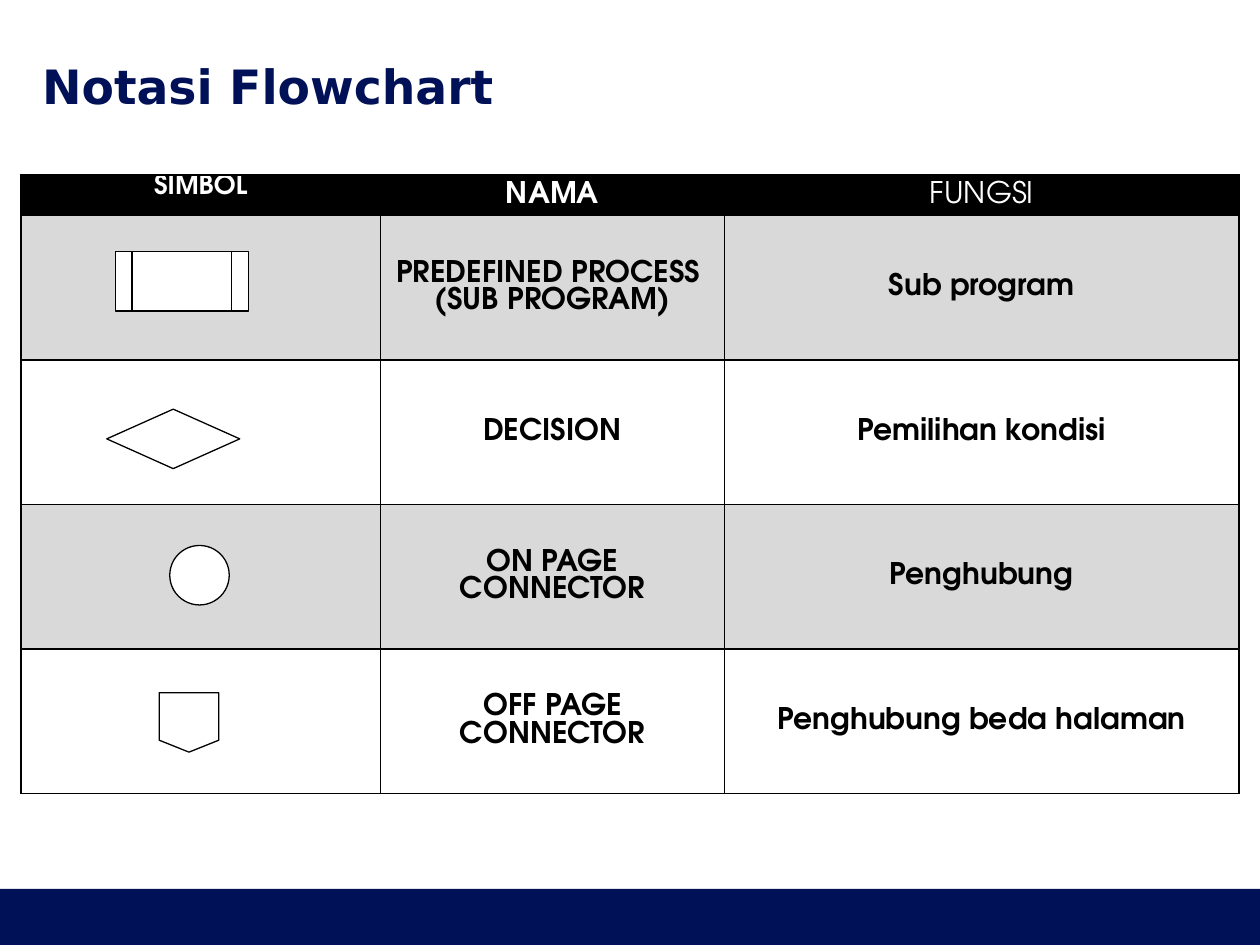
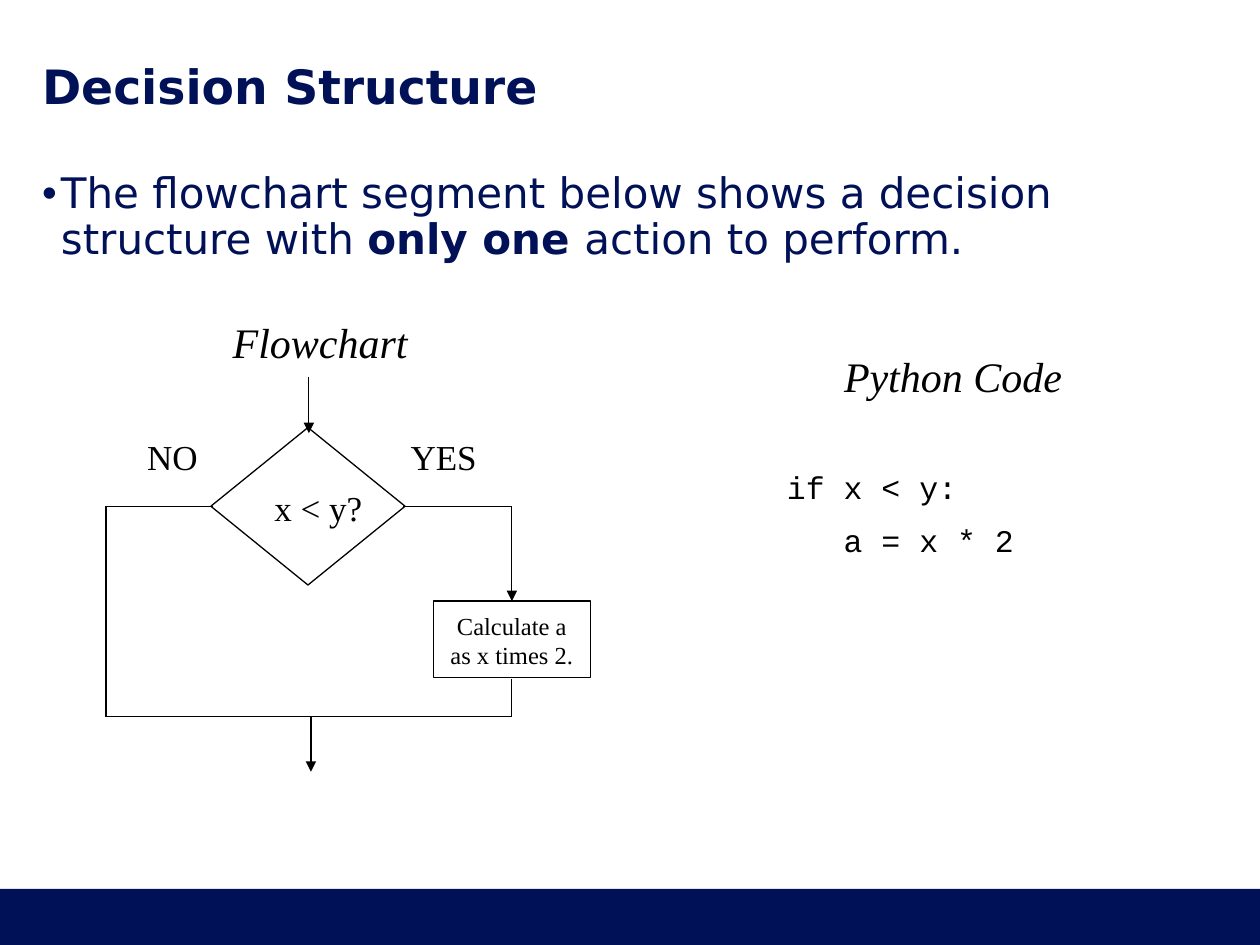
from lxml import etree
from pptx import Presentation
from pptx import util as u
from pptx.dml.color import RGBColor
from pptx.enum import shapes, text
from pptx.oxml import ns

Pt = u.Pt
KIND = shapes.MSO_SHAPE
MID = text.MSO_ANCHOR.MIDDLE
TOP = text.MSO_ANCHOR.TOP
LEFT = text.PP_ALIGN.LEFT
CENTER = text.PP_ALIGN.CENTER

NAVY = RGBColor(0x00, 0x11, 0x58)
BLACK = RGBColor(0, 0, 0)
WHITE = RGBColor(255, 255, 255)
GRAY = RGBColor(0xD9, 0xD9, 0xD9)

WIDE, HIGH = 720, 540
LINE = 0.75

# Text styles
TITLE = dict(name="DejaVu Sans", size=Pt(27), bold=True, color=NAVY)
BODY = dict(name="DejaVu Sans", size=Pt(24), color=NAVY)
HEAD = dict(name="Times New Roman", size=Pt(24), italic=True, color=BLACK)
LABEL = dict(name="Times New Roman", size=Pt(20), color=BLACK)
STEP = dict(LABEL, size=Pt(14))
CODE = dict(name="Courier New", size=Pt(18), color=BLACK)
CELL = dict(name="TeX Gyre Adventor", size=Pt(17), bold=True, color=BLACK)

HEADS = [
    ("SIMBOL", dict(CELL, size=Pt(15), color=WHITE), TOP),
    ("NAMA", dict(CELL, color=WHITE), MID),
    ("FUNGSI", dict(CELL, color=WHITE, bold=False), MID),
]
ROWS = [
    (["PREDEFINED PROCESS ", "(SUB PROGRAM)"], "Sub program"),
    (["DECISION"], "Pemilihan kondisi"),
    (["ON PAGE CONNECTOR"], "Penghubung"),
    (["OFF PAGE CONNECTOR"], "Penghubung beda halaman"),
]
# Kind, then place and size within the table box
SIGNS = [
    (KIND.FLOWCHART_PREDEFINED_PROCESS, 54, 43.8, 76, 34),
    (KIND.FLOWCHART_DECISION, 49, 133.8, 76, 34),
    (KIND.FLOWCHART_CONNECTOR, 85, 211.7, 34, 34),
    (KIND.FLOWCHART_OFFPAGE_CONNECTOR, 79, 295.8, 34, 34),
]


def pts(*vals):
    return [Pt(v) for v in vals]


def put(obj, **fmt):
    for key, val in fmt.items():
        setattr(obj, key, val)


def style(font, fmt):
    for key, val in fmt.items():
        if key == "color":
            font.color.rgb = val
        else:
            setattr(font, key, val)


def write(para, words, fmt, **form):
    run = para.add_run()
    run.text = words
    style(run.font, fmt)
    put(para, **form)


def frame_box(slide, box, pad=(7.2, 3.6), anchor=TOP):
    frame = slide.shapes.add_textbox(*pts(*box)).text_frame
    put(frame, word_wrap=True, vertical_anchor=anchor,
        margin_left=Pt(pad[0]), margin_right=Pt(pad[0]),
        margin_top=Pt(pad[1]), margin_bottom=Pt(pad[1]))
    return frame


def label(slide, box, words, fmt, align=CENTER):
    write(frame_box(slide, box).paragraphs[0], words, fmt, alignment=align)


def shape(slide, kind, box, fill=None, edge=True):
    item = slide.shapes.add_shape(kind, *pts(*box))
    item.shadow.inherit = False
    if fill is None:
        item.fill.background()
    else:
        item.fill.solid()
        item.fill.fore_color.rgb = fill
    if edge:
        item.line.color.rgb = BLACK
        item.line.width = Pt(LINE)
    else:
        item.line.fill.background()


def link(slide, x1, y1, x2, y2, arrow=False):
    item = slide.shapes.add_connector(
        shapes.MSO_CONNECTOR.STRAIGHT, *pts(x1, y1, x2, y2))
    item.line.color.rgb = BLACK
    item.line.width = Pt(LINE)
    props = item._element.spPr
    if arrow:
        etree.SubElement(props.find(ns.qn("a:ln")),
                         ns.qn("a:tailEnd"), type="triangle")
    etree.SubElement(props, ns.qn("a:effectLst"))


def base(deck, title):
    """Blank slide with the footer band and the title."""
    slide = deck.slides.add_slide(deck.slide_layouts[6])
    shape(slide, KIND.RECTANGLE, (0, 508, WIDE, 32), NAVY, edge=False)
    frame = frame_box(slide, (24, 32, 672, 34), (0, 0), MID)
    write(frame.paragraphs[0], title, TITLE)
    return slide


def border(cell):
    props = cell._tc.get_or_add_tcPr()
    for side in "LRTB":
        edge = etree.SubElement(props, ns.qn("a:ln" + side), w=str(Pt(1)))
        fill = etree.SubElement(edge, ns.qn("a:solidFill"))
        etree.SubElement(fill, ns.qn("a:srgbClr"), val=str(BLACK))


def fill_cell(cell, lines, fmt, fill, anchor=MID):
    border(cell)
    cell.fill.solid()
    cell.fill.fore_color.rgb = fill
    put(cell, margin_top=0, margin_bottom=0, vertical_anchor=anchor,
        margin_left=Pt(6.5), margin_right=Pt(6.5))
    frame = cell.text_frame
    for i, line in enumerate(lines):
        para = frame.add_paragraph() if i else frame.paragraphs[0]
        write(para, line, fmt, alignment=CENTER)


def symbols(slide, box):
    """Table of notations with a symbol in the first column."""
    x, y = box[:2]
    grid = slide.shapes.add_table(len(ROWS) + 1, 3, *pts(*box)).table
    for col, width in zip(grid.columns, (205.5, 196.5, 294)):
        col.width = Pt(width)
    high = 23
    step = (box[3] - high) / len(ROWS)
    for i, row in enumerate(grid.rows):
        row.height = Pt(step if i else high)
    for j, (words, fmt, anchor) in enumerate(HEADS):
        fill_cell(grid.cell(0, j), [words], fmt, BLACK, anchor)
    for i, (name, use) in enumerate(ROWS, 1):
        fill = GRAY if i % 2 else WHITE
        for j, lines in enumerate(([], name, [use])):
            fill_cell(grid.cell(i, j), lines, CELL, fill)
    for kind, dx, dy, w, h in SIGNS:
        shape(slide, kind, (x + dx, y + dy, w, h), WHITE)


def bullet(slide, box):
    para = frame_box(slide, box, (0, 0)).paragraphs[0]
    put(para, line_spacing=0.9, space_before=Pt(4.5), space_after=Pt(4.5))
    props = para._p.get_or_add_pPr()
    props.set("marL", str(Pt(10.8)))
    props.set("indent", str(-Pt(10.8)))
    tint = etree.SubElement(props, ns.qn("a:buClr"))
    etree.SubElement(tint, ns.qn("a:srgbClr"), val=str(NAVY))
    etree.SubElement(props, ns.qn("a:buFont"), typeface="Arial")
    etree.SubElement(props, ns.qn("a:buChar"), char="•")
    write(para, "The flowchart segment below shows a decision "
                "structure with ", BODY)
    write(para, "only one ", dict(BODY, bold=True))
    write(para, "action to perform.", BODY)


def chart(slide, box):
    """Flowchart of a decision with one action."""
    x, y, w, h = box
    mid, join, right = y + 112.3, y + 232.3, x + 232.5
    label(slide, (x + 60.5, y + 0.3, 125, 36), "Flowchart", HEAD)
    shape(slide, KIND.FLOWCHART_DECISION, (x + 60.5, y + 67.3, 111, 90))
    shape(slide, KIND.RECTANGLE, (x + w - 90.4, y + 166.4, 90, 44))
    # Branches and the join below them
    for line in (
        (x + 62, mid, x, mid),
        (x + 0.5, mid, x + 0.5, join),
        (x + 170.5, mid, right, mid),
        (right, mid, right, y + 166.5, True),
        (right, y + 211, right, join),
        (right, join, x, join),
        (x + 117.7, join, x + 117.7, y + h, True),
        (x + 116.5, y + 38.3, x + 116.5, y + 70.5, True),
    ):
        link(slide, *line)
    # Labels
    label(slide, (x + 163.5, y + 68.5, 60, 31), "YES", LABEL)
    label(slide, (x + 8.5, y + 68.5, 60, 31), "NO", LABEL)
    label(slide, (x + 89.7, y + 97.5, 68, 31), "x < y?", LABEL, LEFT)
    label(slide, (x + w - 91.5, y + 168.5, 92, 41),
          "Calculate a as x times 2.", STEP)


def code(slide, box):
    """Heading and the code lines below it."""
    x, y, w, h = box
    label(slide, (x + 11, y, 182, 36), "Python Code", HEAD)
    frame = frame_box(slide, (x, y + 67.5, w, h - 67.5))
    write(frame.paragraphs[0], "if x < y:", CODE)
    para = frame.add_paragraph()
    write(para, "a = x * 2", CODE, space_before=Pt(8.5))
    para._p.get_or_add_pPr().set("marL", str(Pt(32.4)))


def main():
    deck = Presentation()
    put(deck, slide_width=Pt(WIDE), slide_height=Pt(HIGH))
    slide = base(deck, "Notasi Flowchart")
    symbols(slide, (12, 100, 696, 353.5))
    slide = base(deck, "Decision Structure")
    bullet(slide, (24, 98.6, 672, 377))
    code(slide, (442.6, 196.5, 231, 128))
    chart(slide, (60, 177, 278, 264))
    deck.save("out.pptx")


if __name__ == "__main__":
    main()
